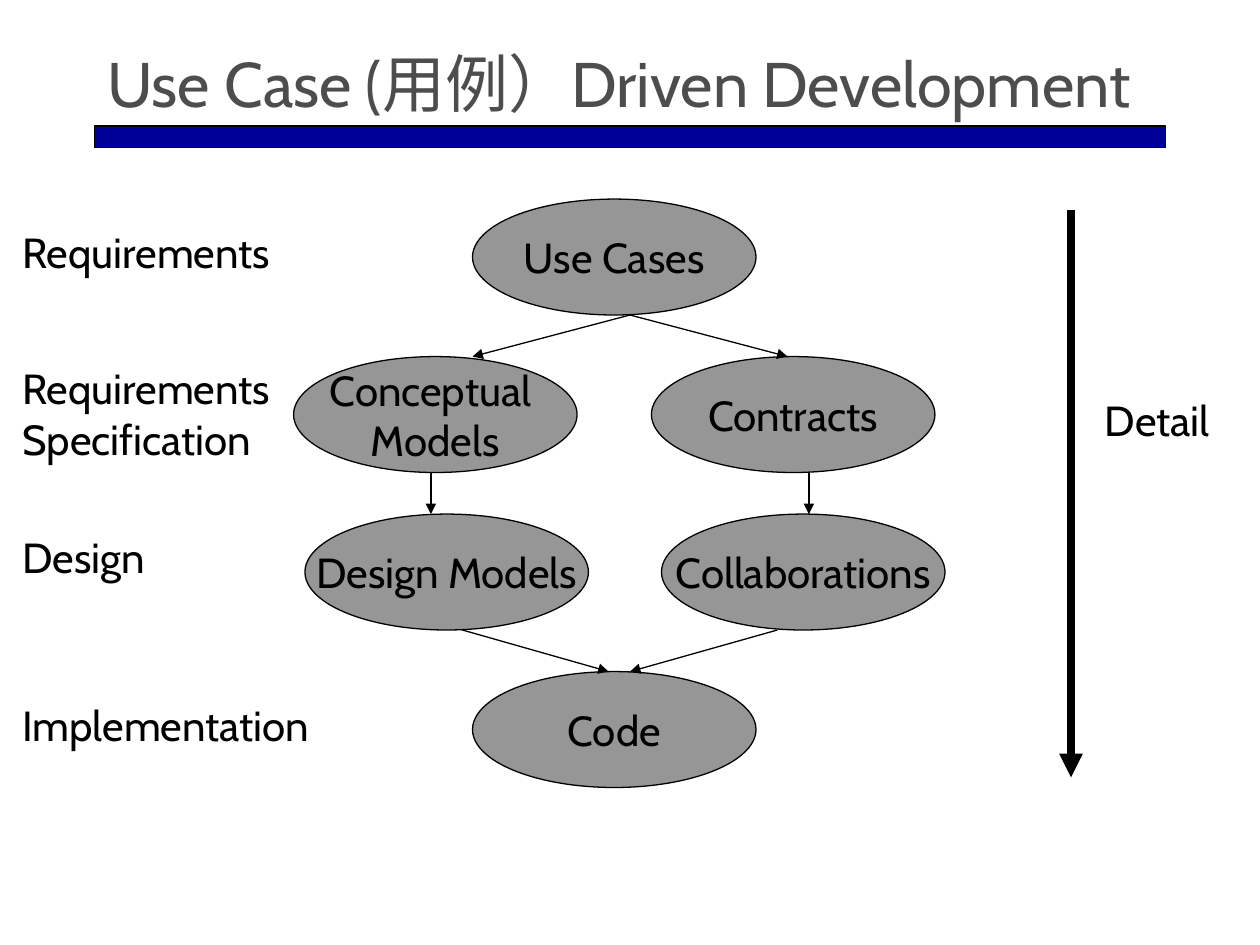
from lxml.etree import SubElement
from pptx import Presentation
from pptx.dml.color import RGBColor
from pptx.enum.shapes import MSO_CONNECTOR, MSO_SHAPE
from pptx.enum.text import MSO_ANCHOR, MSO_AUTO_SIZE, PP_ALIGN
from pptx.oxml.ns import qn
from pptx.util import Inches, Pt

FONT = "Cabin"
COLORS = {
    "title": "4D4D4D",
    "rule": "000099",
    "oval": "969696",
    "ink": "000000",
}
OVAL_WIDTH, OVAL_HEIGHT = 2.25, 0.92
ROW_TOPS = [1.58, 2.83, 4.08, 5.33]

# text, left, row
OVALS = [
    ("Use Cases", 3.75, 0),
    ("Conceptual \nModels", 2.33, 1),
    ("Design Models", 2.42, 2),
    ("Contracts", 5.17, 1),
    ("Collaborations", 5.25, 2),
    ("Code", 3.75, 3),
]
# start x, end x, row the arrow leaves
FLOWS = [
    (5, 3.75, 0),
    (5, 6.25, 0),
    (3.42, 3.42, 1),
    (6.42, 6.42, 1),
    (3.67, 4.83, 2),
    (6.17, 5, 2),
]
# text, left, top, width, height
LABELS = [
    ("Requirements", 0.08, 1.75, 2.67, 0.5),
    ("Requirements Specification", 0.08, 2.83, 2.67, 0.9),
    ("Design", 0.08, 4.17, 2.67, 0.5),
    ("Implementation", 0.08, 5.5, 2.67, 0.9),
    ("Detail", 8.67, 3.08, 1.33, 0.5),
]


def rgb(name):
    return RGBColor.from_string(COLORS[name])


def format_text(frame, size, color, align=PP_ALIGN.LEFT):
    for paragraph in frame.paragraphs:
        paragraph.alignment = align
        for run in paragraph.runs:
            run.font.name = FONT
            run.font.size = Pt(size)
            run.font.color.rgb = rgb(color)


def add_outlined(slide, preset, left, top, width, height, fill):
    shape = slide.shapes.add_shape(
        preset, Inches(left), Inches(top), Inches(width), Inches(height))
    shape.shadow.inherit = False
    shape.fill.solid()
    shape.fill.fore_color.rgb = rgb(fill)
    shape.line.color.rgb = rgb("ink")
    shape.line.width = Pt(0.75)
    return shape


def add_title(slide, text):
    title = slide.shapes.title
    title.left, title.top = Inches(0.75), Inches(0.33)
    title.width, title.height = Inches(8.74), Inches(0.67)
    frame = title.text_frame
    frame.text = text
    frame.auto_size = MSO_AUTO_SIZE.NONE
    frame.vertical_anchor = MSO_ANCHOR.BOTTOM
    format_text(frame, 36, "title")


def add_oval(slide, text, left, row):
    oval = add_outlined(slide, MSO_SHAPE.OVAL, left, ROW_TOPS[row],
                        OVAL_WIDTH, OVAL_HEIGHT, "oval")
    frame = oval.text_frame
    frame.text = text
    frame.word_wrap = False
    frame.vertical_anchor = MSO_ANCHOR.MIDDLE
    format_text(frame, 24, "ink", PP_ALIGN.CENTER)


def add_arrow(slide, start, end, width=0.75):
    arrow = slide.shapes.add_connector(
        MSO_CONNECTOR.STRAIGHT, *(Inches(value) for value in start + end))
    arrow.line.color.rgb = rgb("ink")
    arrow.line.width = Pt(width)
    SubElement(arrow.line._get_or_add_ln(), qn("a:tailEnd"), type="triangle")
    SubElement(arrow._element.spPr, qn("a:effectLst"))


def add_label(slide, text, left, top, width, height):
    label = slide.shapes.add_textbox(
        Inches(left), Inches(top), Inches(width), Inches(height))
    frame = label.text_frame
    frame.word_wrap = True
    frame.text = text
    frame.paragraphs[0].space_before = Pt(15)
    format_text(frame, 24, "ink")


def main():
    deck = Presentation()
    deck.slide_width, deck.slide_height = Inches(10), Inches(7.5)
    slide = deck.slides.add_slide(deck.slide_layouts[5])

    add_outlined(slide, MSO_SHAPE.RECTANGLE, 0.75, 1, 8.5, 0.17, "rule")
    add_title(slide, "Use Case (用例）Driven Development")
    for oval in OVALS:
        add_oval(slide, *oval)
    for start_x, end_x, row in FLOWS:
        add_arrow(slide, (start_x, ROW_TOPS[row] + OVAL_HEIGHT),
                  (end_x, ROW_TOPS[row + 1]))
    for label in LABELS:
        add_label(slide, *label)
    add_arrow(slide, (8.5, 1.67), (8.5, 6.17), width=4.5)

    deck.save("out.pptx")


if __name__ == "__main__":
    main()
